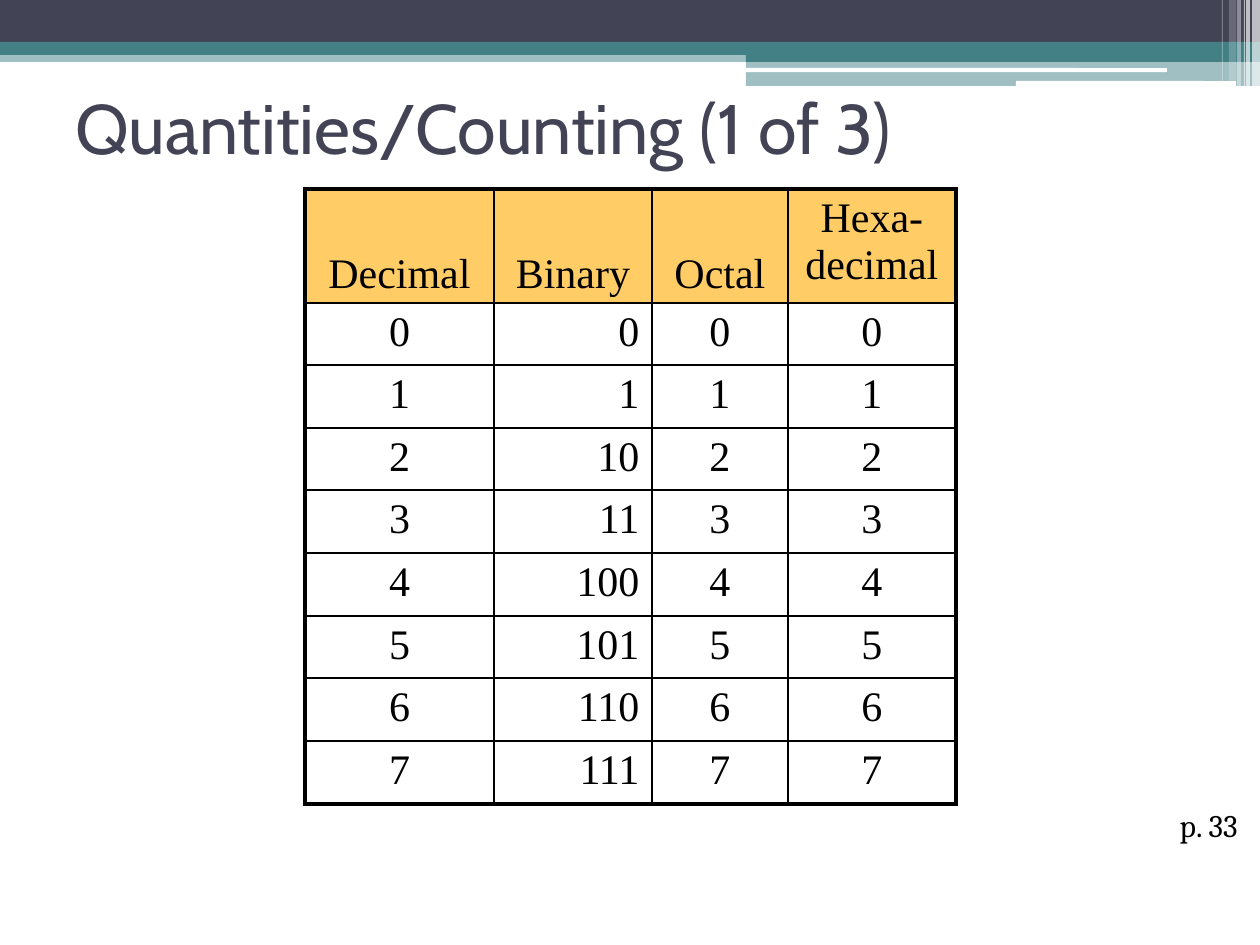
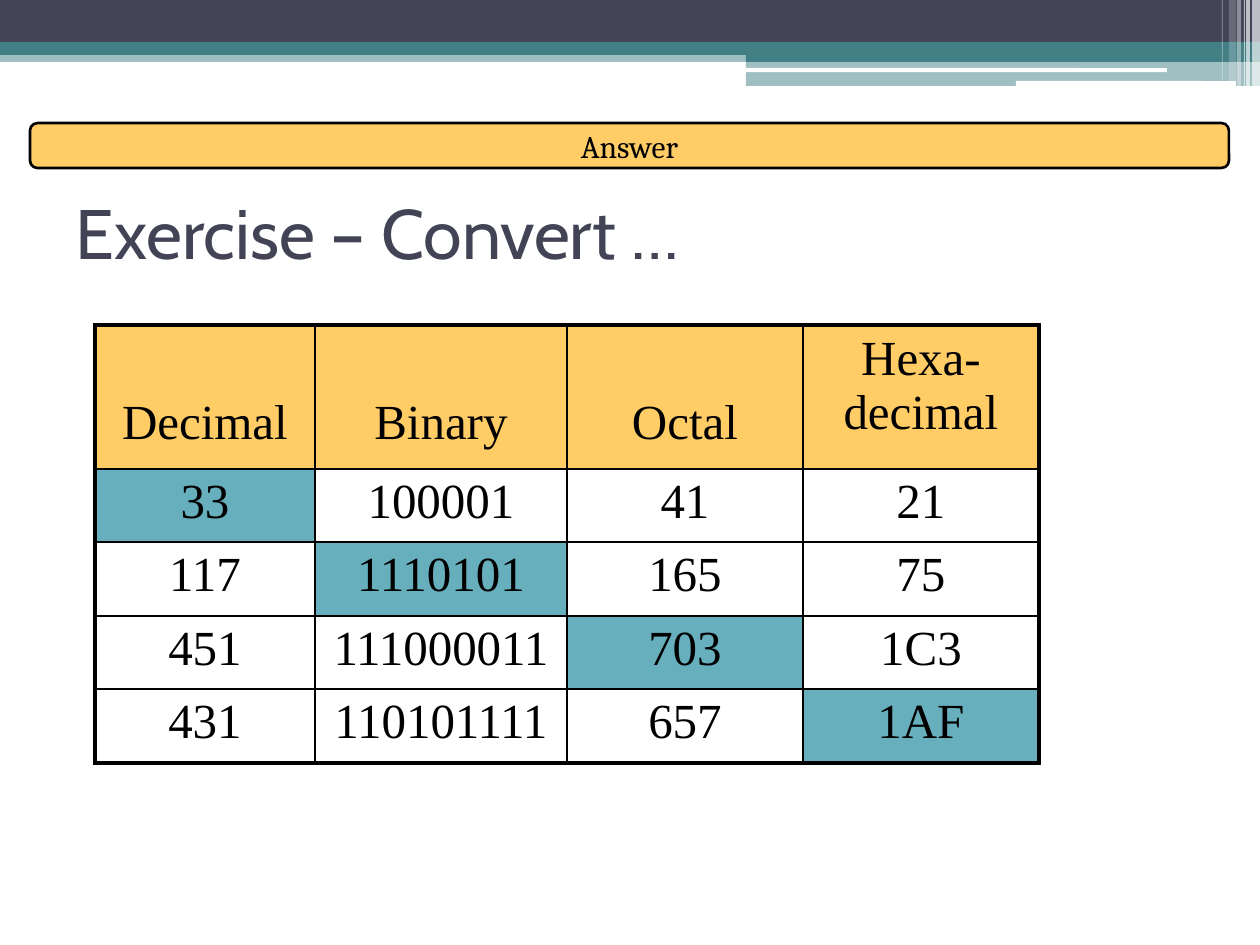
import dataclasses

import lxml.etree
import pptx
import pptx.dml.color
import pptx.enum.shapes
import pptx.enum.text
import pptx.oxml.ns
import pptx.util

SHAPE = pptx.enum.shapes.MSO_SHAPE
ALIGN = pptx.enum.text.PP_ALIGN
ANCHOR = pptx.enum.text.MSO_ANCHOR
RGB = pptx.dml.color.RGBColor.from_string
qn = pptx.oxml.ns.qn
EMU_PER_PX = 914400 / 126


@dataclasses.dataclass(frozen=True)
class Theme:
    navy: str = "424456"
    teal: str = "438086"
    white: str = "FFFFFF"
    black: str = "000000"
    gold: str = "FFCC66"
    given: str = "67AFBD"
    title: tuple = ("Cabin", 40)
    note: tuple = ("Cambria", 18)
    small_table: tuple = ("Times New Roman", 24)
    large_table: tuple = ("Times New Roman", 28)
    inner_line: float = 1
    outer_line: float = 2.25


theme = Theme()


def px(*lengths):
    return [pptx.util.Emu(round(n * EMU_PER_PX)) for n in lengths]


def write(tf, text, face, color, align, anchor):
    for name, value in {"word_wrap": True, "vertical_anchor": anchor}.items():
        setattr(tf, name, value)
    p = tf.paragraphs[0]
    p.text = text
    p.alignment = align
    for r in p.runs:
        for name, value in {"name": face[0], "size": pptx.util.Pt(face[1])}.items():
            setattr(r.font, name, value)
        r.font.color.rgb = RGB(color)


headers = ["Decimal", "Binary", "Octal", "Hexa-\ndecimal"]
pages = [
    {
        "title": "Quantities/Counting (1 of 3)",
        "title_top": 53,
        "at": (305, 189),
        "cols": [189, 158, 136, 168],
        "header_height": 114,
        "header_bottom": 6,
        "body_height": 501,
        "face": theme.small_table,
        "binary_align": ALIGN.RIGHT,
        "rows": [[str(n), f"{n:b}", f"{n:o}", f"{n:X}"] for n in range(8)],
        "given": False,
    },
    {
        "title": "Exercise – Convert …",
        "title_top": 158,
        "at": (95, 325),
        "cols": [220, 252, 236, 236],
        "header_height": 144,
        "header_bottom": 19,
        "body_height": 294,
        "face": theme.large_table,
        "binary_align": ALIGN.CENTER,
        "rows": [[str(n), f"{n:b}", f"{n:o}", f"{n:X}"] for n in (33, 117, 451, 431)],
        "given": True,
    },
]
bands = [
    (SHAPE.RECTANGLE, (0, 50, 1260, 12), theme.teal, 50),
    (SHAPE.RECTANGLE, (0, 0, 1260, 42), theme.navy, 100),
    (SHAPE.RECTANGLE, (0, 42, 1260, 13), theme.teal, 100),
    (SHAPE.RECTANGLE, (746, 49, 514, 13), theme.teal, 100),
    (SHAPE.RECTANGLE, (746, 62, 514, 24), theme.teal, 50),
    (SHAPE.ROUNDED_RECTANGLE, (745, 68, 422, 4), theme.white, 100),
    (SHAPE.ROUNDED_RECTANGLE, (1016, 81, 220, 5), theme.white, 100),
]
stripes = [
    (1252, 8, 86, 65),
    (1246, 4, 86, 65),
    (1244, 1, 86, 60),
    (1237, 4, 86, 40),
    (1229, 7, 81, 20),
    (1222, 1, 81, 30),
]
bands += [
    (SHAPE.RECTANGLE, (left, 0, width, height), theme.white, alpha)
    for left, width, height, alpha in stripes
]

prs = pptx.Presentation()
prs.slide_width, prs.slide_height = px(1260, 945)
slides = [prs.slides.add_slide(prs.slide_layouts[5]) for page in pages]

master_tree = prs.slide_master.shapes.element
for i, (kind, box, color, alpha) in enumerate(bands):
    sp = slides[0].shapes.add_shape(kind, *px(*box))
    sp.shadow.inherit = False
    sp.fill.solid()
    sp.fill.fore_color.rgb = RGB(color)
    sp.line.fill.background()
    if alpha < 100:
        clr = sp.element.spPr.find(qn("a:solidFill"))[0]
        lxml.etree.SubElement(clr, qn("a:alpha"), val=str(alpha * 1000))
    master_tree.insert(2 + i, sp.element)

for s, page in zip(slides, pages):
    title = s.shapes.title
    title.left, title.top, title.width, title.height = px(63, page["title_top"], 1134, 147)
    write(title.text_frame, page["title"], theme.title, theme.navy, ALIGN.LEFT, ANCHOR.MIDDLE)
    title.text_frame.auto_size = pptx.enum.text.MSO_AUTO_SIZE.NONE

    rows = [headers] + page["rows"]
    count = len(page["rows"])
    size = (sum(page["cols"]), page["header_height"] + page["body_height"])
    table = s.shapes.add_table(len(rows), len(headers), *px(*page["at"], *size)).table
    table.first_row = table.horz_banding = False
    for column, width in zip(table.columns, px(*page["cols"])):
        column.width = width
    edges = [page["body_height"] * i // count for i in range(count + 1)]
    heights = [page["header_height"]] + [b - a for a, b in zip(edges, edges[1:])]
    for row, height in zip(table.rows, px(*heights)):
        row.height = height

    for i, values in enumerate(rows):
        for j, value in enumerate(values):
            cell = table.cell(i, j)
            is_header = i == 0
            align = page["binary_align"] if j == 1 and not is_header else ALIGN.CENTER
            anchor = ANCHOR.BOTTOM if is_header and j < 3 else ANCHOR.TOP
            write(cell.text_frame, value, page["face"], theme.black, align, anchor)
            cell.vertical_anchor = anchor
            if is_header:
                cell.margin_bottom = px(page["header_bottom"])[0]
            tcPr = cell._tc.get_or_add_tcPr()
            outer = {"L": j == 0, "R": j == 3, "T": is_header, "B": i == count}
            for side, is_outer in outer.items():
                width = pptx.util.Pt(theme.outer_line if is_outer else theme.inner_line)
                ln = lxml.etree.SubElement(tcPr, qn(f"a:ln{side}"), w=str(width))
                fill = lxml.etree.SubElement(ln, qn("a:solidFill"))
                lxml.etree.SubElement(fill, qn("a:srgbClr"), val=theme.black)
            is_given = page["given"] and i == j + 1
            if is_header or is_given:
                cell.fill.solid()
                cell.fill.fore_color.rgb = RGB(theme.gold if is_header else theme.given)
            else:
                cell.fill.background()

counting, exercise = slides
tb = counting.shapes.add_textbox(*px(1103, 800, 147, 50))
write(tb.text_frame, "p. 33", theme.note, theme.black, ALIGN.RIGHT, ANCHOR.TOP)

sp = exercise.shapes.add_shape(SHAPE.ROUNDED_RECTANGLE, *px(30, 123, 1199, 45))
sp.shadow.inherit = False
sp.fill.solid()
sp.fill.fore_color.rgb = RGB(theme.gold)
sp.line.color.rgb = RGB(theme.black)
sp.line.width = pptx.util.Pt(1.5)
write(sp.text_frame, "Answer", theme.note, theme.black, ALIGN.CENTER, ANCHOR.MIDDLE)
sp.text_frame.margin_top = sp.text_frame.margin_bottom = 0

prs.save("out.pptx")
